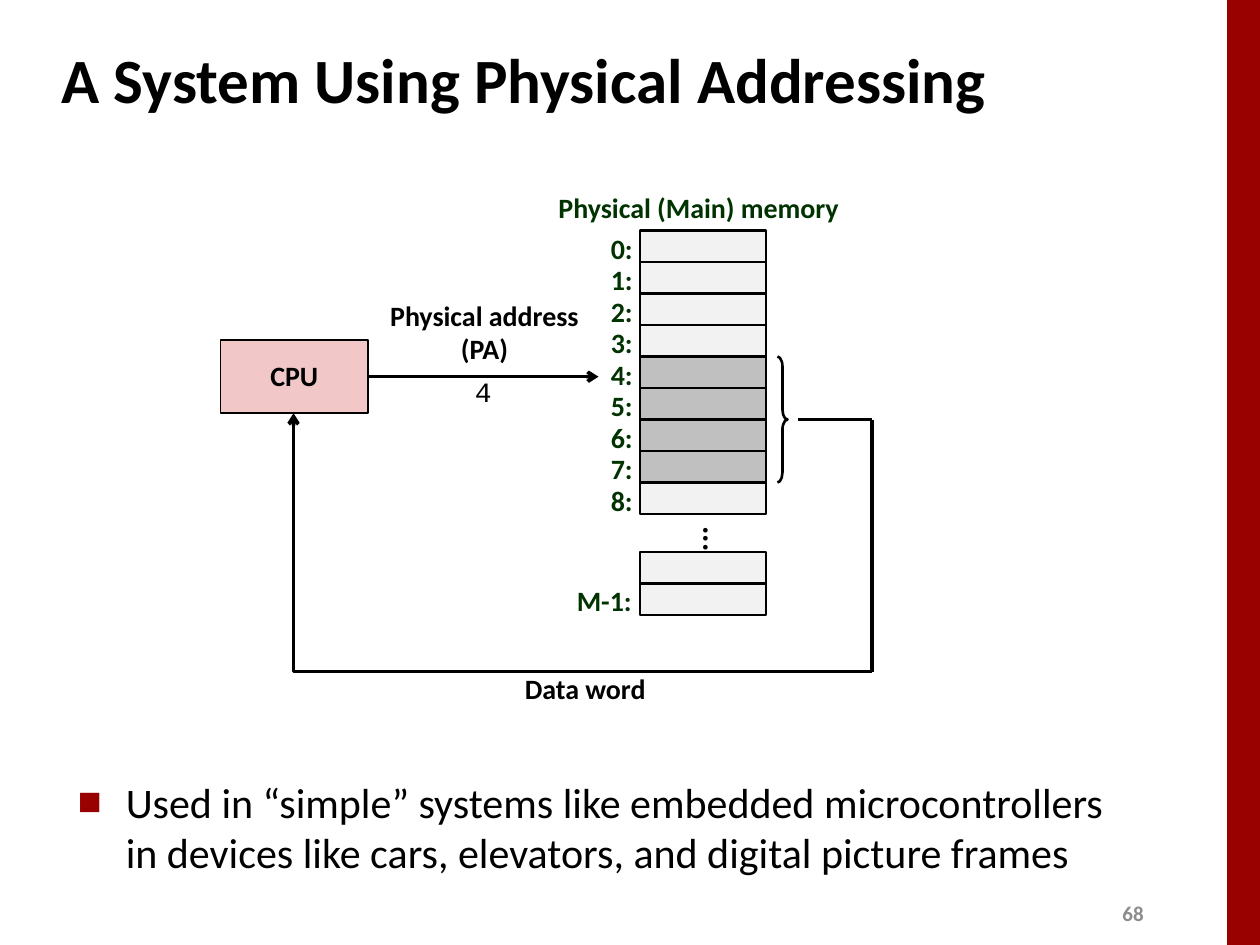
import pptx
import pptx.util
import pptx.dml.color
import pptx.enum.shapes
import pptx.enum.text
import pptx.oxml
import pptx.oxml.ns

Inches = pptx.util.Inches
Pt = pptx.util.Pt
SHAPE = pptx.enum.shapes.MSO_SHAPE
CONNECTOR = pptx.enum.shapes.MSO_CONNECTOR
ANCHOR = pptx.enum.text.MSO_ANCHOR
ALIGN = pptx.enum.text.PP_ALIGN

# Content
TITLE = "A System Using Physical Addressing"
BULLET = ("Used in “simple” systems like embedded microcontrollers "
          "in devices like cars, elevators, and digital picture frames")
PAGE_NUMBER = "68"
MEMORY_TITLE = "Physical (Main) memory"
FIRST_CELLS = ["0:", "1:", "2:", "3:", "4:", "5:", "6:", "7:", "8:"]
LAST_CELLS = ["", "M-1:"]
WORD_CELLS = {"4:", "5:", "6:", "7:"}


class Theme:
    font = "Calibri"
    address_font = "Courier New"
    black = "000000"
    accent = "990000"
    green = "003300"
    gray = "8C8C8C"
    cell = "F2F2F2"
    word_cell = "C0C0C0"
    cpu = "F1C7C7"
    title_size = 36
    body_size = 24
    dots_size = 18
    label_size = 16
    number_size = 12


# Memory grid
CELL_LEFT, CELL_WIDTH, CELL_HEIGHT = 5.08, 1, 0.25
FIRST_TOP, LAST_TOP = 1.83, 4.38
LABEL_RIGHT, LABEL_HEIGHT = 5.12, 0.33

presentation = pptx.Presentation()
presentation.slide_width, presentation.slide_height = Inches(10), Inches(7.5)
slide = presentation.slides.add_slide(presentation.slide_layouts[6])


def color(value):
    return pptx.dml.color.RGBColor.from_string(value)


def write_text(shape, text, size=Theme.label_size, font=Theme.font,
               text_color=Theme.black, bold=True, align=ALIGN.LEFT,
               anchor=ANCHOR.MIDDLE, wrap=False, spacing=None, before=None):
    frame = shape.text_frame
    frame.word_wrap = wrap
    frame.vertical_anchor = anchor
    frame.text = text
    for paragraph in frame.paragraphs:
        paragraph.alignment = align
        if spacing:
            paragraph.line_spacing = spacing
        if before is not None:
            paragraph.space_before = Pt(before)
        paragraph.font.size = Pt(size)
        paragraph.font.name = font
        paragraph.font.bold = bold
        paragraph.font.color.rgb = color(text_color)
    return shape


def add_text(left, top, width, height, text, **text_format):
    box = slide.shapes.add_textbox(Inches(left), Inches(top), Inches(width), Inches(height))
    return write_text(box, text, **text_format)


def add_shape(kind, left, top, width, height, fill=None, line=None):
    shape = slide.shapes.add_shape(kind, Inches(left), Inches(top), Inches(width), Inches(height))
    shape.shadow.inherit = False
    if fill:
        shape.fill.solid()
        shape.fill.fore_color.rgb = color(fill)
    else:
        shape.fill.background()
    if line:
        shape.line.color.rgb = color(Theme.black)
        shape.line.width = Pt(line)
    else:
        shape.line.fill.background()
    return shape


def add_line(start, end, kind=CONNECTOR.STRAIGHT, arrow=False):
    connector = slide.shapes.add_connector(kind, *(Inches(value) for value in start + end))
    connector.line.color.rgb = color(Theme.black)
    connector.line.width = Pt(2)
    if arrow:
        head = pptx.oxml.ns.qn("a:tailEnd")
        connector.line._get_or_add_ln().append(connector._element.makeelement(head, {"type": "arrow"}))
    properties = connector._element.spPr
    properties.append(properties.makeelement(pptx.oxml.ns.qn("a:effectLst"), {}))
    return connector


def set_indent(shape, indent, bullet_xml=()):
    properties = shape.text_frame.paragraphs[0]._p.get_or_add_pPr()
    properties.set("marL", str(Inches(indent)))
    properties.set("indent", str(-Inches(indent)))
    position = len(properties.findall(pptx.oxml.ns.qn("a:lnSpc")))
    position += len(properties.findall(pptx.oxml.ns.qn("a:spcBef")))
    for offset, (tag, body) in enumerate(bullet_xml):
        namespace = pptx.oxml.ns.nsdecls("a")
        element = pptx.oxml.parse_xml(f"<a:{tag} {namespace} {body}</a:{tag}>")
        properties.insert(position + offset, element)


def add_cells(labels, top):
    for row, label in enumerate(labels):
        row_top = top + row * CELL_HEIGHT
        fill = Theme.word_cell if label in WORD_CELLS else Theme.cell
        add_shape(SHAPE.RECTANGLE, CELL_LEFT, row_top, CELL_WIDTH, CELL_HEIGHT, fill, 1.5)
        if label:
            width = 0.37 if len(label) == 2 else 0.64
            add_text(LABEL_RIGHT - width, row_top - 0.01, width, LABEL_HEIGHT, label,
                     text_color=Theme.green, anchor=ANCHOR.TOP, spacing=0.88, before=6)


# Side bar, page number, title and bullet
add_shape(SHAPE.RECTANGLE, 9.74, 0, 0.26, 7.5, Theme.accent)
add_text(8.81, 7.1, 0.4, 0.3, PAGE_NUMBER, size=Theme.number_size,
         text_color=Theme.gray, wrap=True)
title = add_text(0.39, 0.21, 8.3, 0.83, TITLE, size=Theme.title_size, wrap=True)
set_indent(title, 0.13)
body = add_text(0.52, 6.11, 8.57, 0.96, BULLET, size=Theme.body_size, bold=False,
                anchor=ANCHOR.TOP, wrap=True, before=4.8)
set_indent(body, 0.38, [
    ("buClr", f'><a:srgbClr val="{Theme.accent}"/>'),
    ("buSzPct", 'val="60000">'),
    ("buFont", f'typeface="{Theme.font}">'),
    ("buChar", 'char="■">'),
])

# Memory
add_text(4.32, 1.5, 2.45, LABEL_HEIGHT, MEMORY_TITLE, text_color=Theme.green,
         align=ALIGN.CENTER, anchor=ANCHOR.TOP, spacing=0.88, before=6)
add_cells(FIRST_CELLS, FIRST_TOP)
add_cells(LAST_CELLS, LAST_TOP)
dots = add_text(5.17, 4.08, 1, 0.25, "...", size=Theme.dots_size,
                align=ALIGN.CENTER, spacing=0.98)
dots.text_frame._txBody.bodyPr.set("vert", "eaVert")
dots.text_frame.paragraphs[0]._p.get_or_add_pPr().set("rtl", "1")
brace = add_shape(SHAPE.RIGHT_BRACE, 6.17, 2.83, 0.08, 1, line=1.5)
brace.adjustments[0] = 1
brace.adjustments[1] = 0.5

# CPU and physical address
cpu = add_shape(SHAPE.RECTANGLE, 1.75, 2.7, 1.17, 0.58, Theme.cpu, 1)
write_text(cpu, "CPU", align=ALIGN.CENTER, spacing=0.98)
add_text(2.99, 2.33, 1.71, 0.63, "Physical address\n(PA)", align=ALIGN.CENTER, spacing=0.98)
add_text(3.67, 2.92, 0.34, 0.37, "4", font=Theme.address_font, bold=False, anchor=ANCHOR.TOP)
address_arrow = add_line((2.92, 2.99), (4.75, 2.99), arrow=True)
address_arrow.begin_connect(cpu, 3)

# Data word path back to the CPU
add_line((6.33, 3.33), (6.92, 3.33))
add_line((6.92, 3.33), (6.92, 5.33))
data_path = add_line((6.92, 5.33), (2.33, 3.28), CONNECTOR.ELBOW, arrow=True)
guides = data_path._element.spPr.prstGeom.get_or_add_avLst()
guides.append(guides.makeelement(pptx.oxml.ns.qn("a:gd"), {"name": "adj1", "fmla": "val 100000"}))
add_text(4.06, 5.29, 1.17, 0.37, "Data word", align=ALIGN.CENTER, spacing=0.98)

presentation.save("out.pptx")
